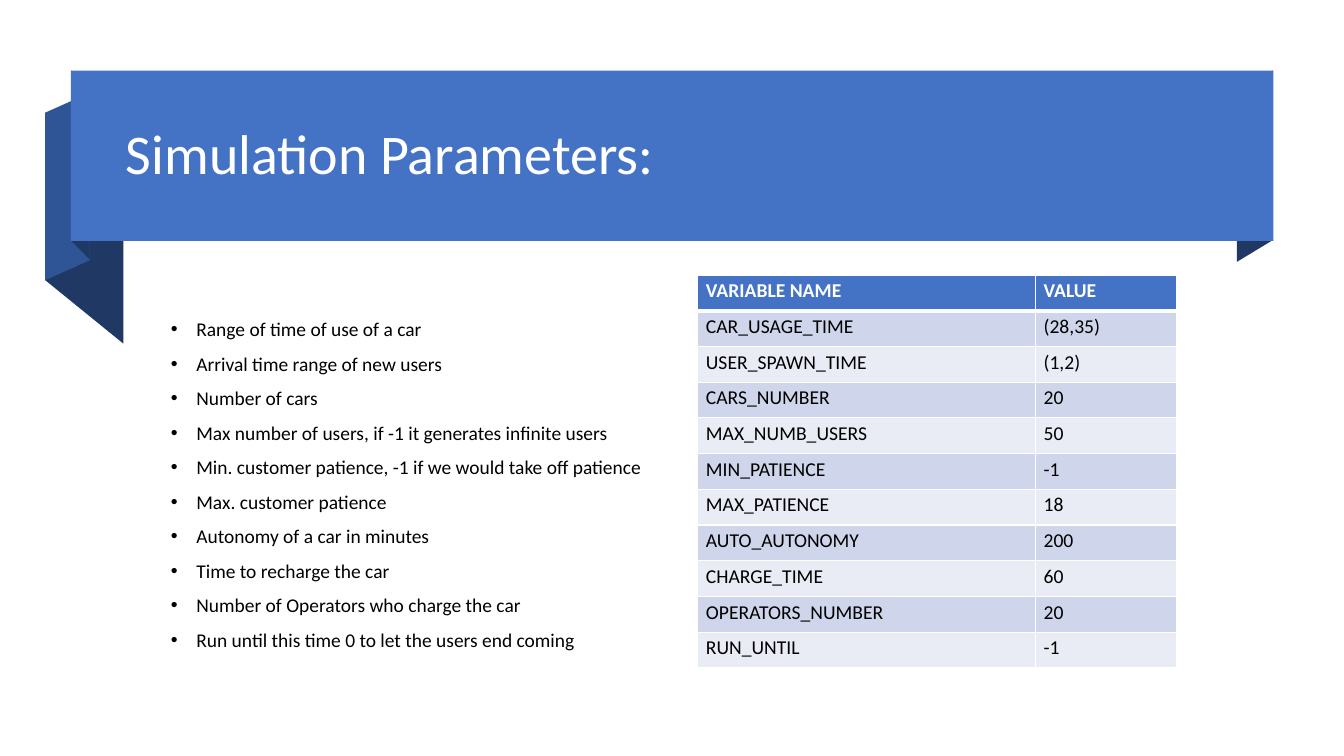
from lxml.etree import SubElement
from pptx import Presentation
from pptx.dml.color import RGBColor
from pptx.enum.shapes import MSO_SHAPE
from pptx.enum.text import MSO_ANCHOR
from pptx.oxml import parse_xml
from pptx.oxml.ns import nsdecls, qn
from pptx.util import Cm, Pt

# Content
TITLE = "Simulation Parameters:"
DESCRIPTIONS = [
    "Range of time of use of a car",
    "Arrival time range of new users",
    "Number of cars",
    "Max number of users, if -1 it generates infinite users",
    "Min. customer patience, -1 if we would take off patience",
    "Max. customer patience",
    "Autonomy of a car in minutes",
    "Time to recharge the car",
    "Number of Operators who charge the car",
    "Run until this time 0 to let the users end coming",
]
PARAMETERS = [
    ("VARIABLE NAME", "VALUE"),
    ("CAR_USAGE_TIME", "(28,35)"),
    ("USER_SPAWN_TIME", "(1,2)"),
    ("CARS_NUMBER", "20"),
    ("MAX_NUMB_USERS", "50"),
    ("MIN_PATIENCE", "-1"),
    ("MAX_PATIENCE", "18"),
    ("AUTO_AUTONOMY", "200"),
    ("CHARGE_TIME", "60"),
    ("OPERATORS_NUMBER", "20"),
    ("RUN_UNTIL", "-1"),
]

# Style and ribbon outlines (cm)
FONT = "Calibri"
BLUE, MID, DARK = "4472C4", "2F5597", "203864"
BANDS = ["E9EBF5", "CFD5EA"]
FOLDS = [
    (DARK, [(32.08, 6.05), (31.17, 6.6), (31.17, 2.31), (32.08, 1.78)]),
    (DARK, [(3.11, 8.66), (1.14, 7.06), (1.14, 2.84), (3.11, 4.45)]),
    (MID, [(2.26, 6.56), (1.14, 7.06), (1.14, 2.84), (2.26, 2.34)]),
    (DARK, [(2.26, 6.54), (1.8, 6.07), (1.8, 1.78), (2.26, 2.26)]),
]
COLUMN_WIDTHS = [8.51, 3.56]
ROW_HEIGHT = 0.9


def rgb(color):
    return RGBColor.from_string(color)


def paint(sp, color):
    sp.shadow.inherit = False
    sp.fill.solid()
    sp.fill.fore_color.rgb = rgb(color)
    sp.line.fill.background()


def add_run(p, text, size, color, bold=False):
    r = p.add_run()
    r.text = text
    r.font.name = FONT
    r.font.size = Pt(size)
    r.font.bold = bold
    r.font.color.rgb = rgb(color)


def add_bullet(p):
    pPr = p._p.get_or_add_pPr()
    pPr.set("marL", str(Cm(0.79)))
    pPr.set("indent", str(-Cm(0.64)))
    SubElement(pPr, qn("a:buFont")).set("typeface", "Arial")
    SubElement(pPr, qn("a:buChar")).set("char", "•")


def add_borders(cell, top, bottom):
    tcPr = cell._tc.get_or_add_tcPr()
    widths = [("lnL", 1), ("lnR", 1), ("lnT", top), ("lnB", bottom)]
    for i, (side, width) in enumerate(widths):
        tcPr.insert(i, parse_xml(
            f'<a:{side} {nsdecls("a")} w="{Pt(width)}"><a:solidFill>'
            f'<a:srgbClr val="FFFFFF"/></a:solidFill></a:{side}>'))


prs = Presentation()
prs.slide_width, prs.slide_height = Cm(33.87), Cm(19.05)
s = prs.slides.add_slide(prs.slide_layouts[5])

# Ribbon: folds behind the banner
ribbon = s.shapes.add_group_shape()
for color, points in FOLDS:
    corners = [(Cm(x), Cm(y)) for x, y in points]
    outline = ribbon.shapes.build_freeform(*corners[0])
    outline.add_line_segments(corners[1:], close=True)
    paint(outline.convert_to_shape(), color)
banner = ribbon.shapes.add_shape(
    MSO_SHAPE.RECTANGLE, Cm(1.79), Cm(1.78), Cm(30.3), Cm(4.29))
paint(banner, BLUE)

# Title, brought in front of the ribbon
title = s.shapes.title
title.left, title.top, title.width, title.height = (
    Cm(2.92), Cm(2.11), Cm(28.63), Cm(3.68))
ribbon._element.addnext(title._element)
tf = title.text_frame
tf.word_wrap = True
tf.vertical_anchor = MSO_ANCHOR.MIDDLE
p = tf.paragraphs[0]
p.alignment = 1
p.line_spacing = 0.9
add_run(p, TITLE, 40, "FFFFFF")

# Bulleted descriptions
tf = s.shapes.add_textbox(Cm(3.91), Cm(7.59), Cm(12.83), Cm(9.91)).text_frame
tf.word_wrap = True
for i, text in enumerate(DESCRIPTIONS):
    p = tf.add_paragraph() if i else tf.paragraphs[0]
    p.line_spacing = 1.48
    add_bullet(p)
    add_run(p, text, 13.9, "000000")

# Parameter table
table = s.shapes.add_table(
    len(PARAMETERS), len(COLUMN_WIDTHS), Cm(17.58), Cm(6.93),
    Cm(sum(COLUMN_WIDTHS)), Cm(ROW_HEIGHT * len(PARAMETERS))).table
for column, width in zip(table.columns, COLUMN_WIDTHS):
    column.width = Cm(width)
for i, values in enumerate(PARAMETERS):
    table.rows[i].height = Cm(ROW_HEIGHT)
    header = i == 0
    for j, text in enumerate(values):
        cell = table.cell(i, j)
        cell.margin_left = cell.margin_right = Cm(0.21)
        cell.margin_top = cell.margin_bottom = Cm(0.1)
        cell.fill.solid()
        cell.fill.fore_color.rgb = rgb(BLUE if header else BANDS[i % 2])
        add_borders(cell, 3 if i == 1 else 1, 3 if header else 1)
        add_run(cell.text_frame.paragraphs[0], text, 14,
                "FFFFFF" if header else "000000", header)

prs.save("out.pptx")
